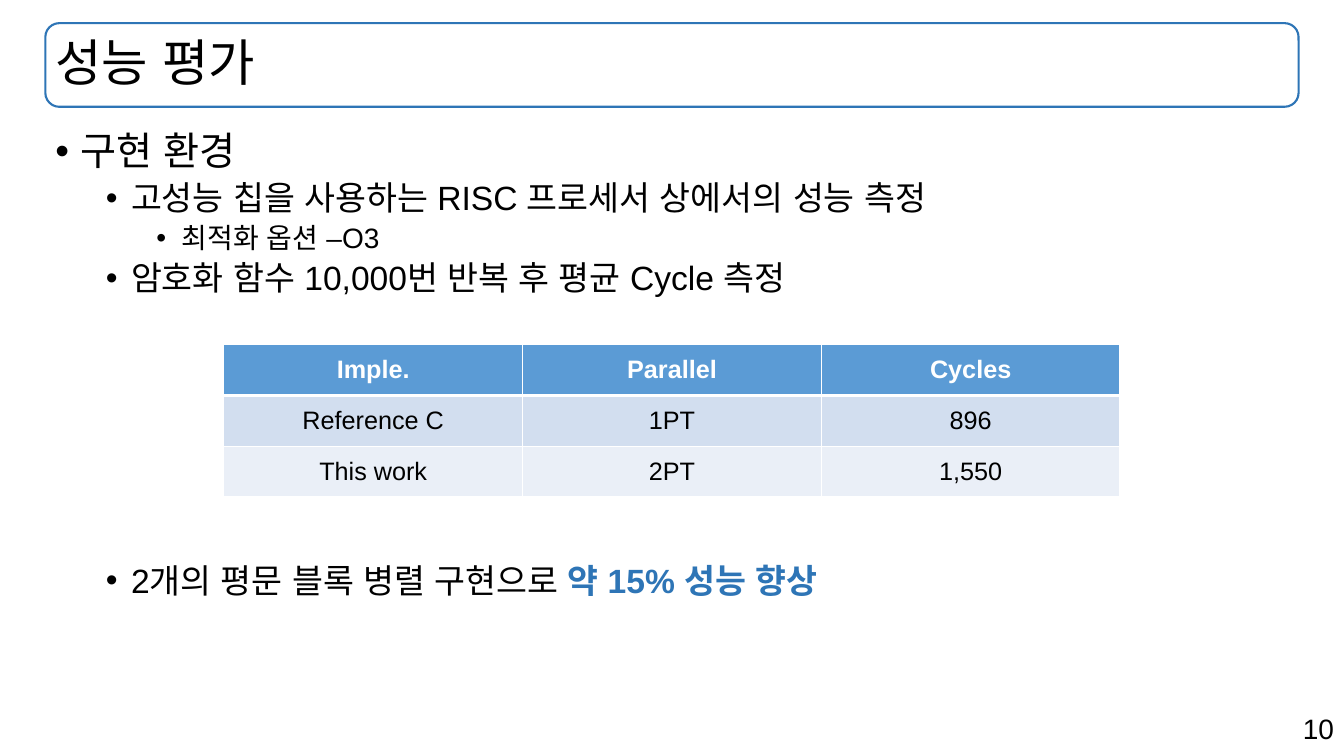
from lxml import etree
from pptx import Presentation
from pptx.dml.color import RGBColor
from pptx.enum.shapes import MSO_SHAPE
from pptx.enum.text import MSO_ANCHOR, MSO_AUTO_SIZE, PP_ALIGN
from pptx.oxml.ns import qn
from pptx.util import Pt

PX = 9144  # 100 px to the inch
FONT = "Arial"
BLACK, WHITE, BLUE = "000000", "FFFFFF", "2E75B6"
HEADER_FILL, ROW_FILLS = "5B9BD5", ("D2DEEF", "EAEFF7")
ROUNDED = MSO_SHAPE.ROUNDED_RECTANGLE
MIDDLE, TOP = MSO_ANCHOR.MIDDLE, MSO_ANCHOR.TOP
NO_AUTOFIT = MSO_AUTO_SIZE.NONE
LEFT, CENTER, RIGHT = PP_ALIGN.LEFT, PP_ALIGN.CENTER, PP_ALIGN.RIGHT

LEVEL_SIZES = (28, 24, 20)
# Level, space before in points, runs of (text, format)
BULLETS = [
    (0, 0, [("구현 환경", {})]),
    (1, 5, [("고성능 칩을 사용하는 RISC 프로세서 상에서의 성능 측정", {})]),
    (2, 5, [("최적화 옵션 –O3", {})]),
    (1, 5, [("암호화 함수 10,000번 반복 후 평균 Cycle 측정", {})]),
    (1, 190, [("2개의 평문 블록 병렬 구현으로 ", {}),
              ("약 15% 성능 향상", {"color": BLUE, "bold": True})]),
]
RESULTS = [
    ("Imple.", "Parallel", "Cycles"),
    ("Reference C", "1PT", "896"),
    ("This work", "2PT", "1,550"),
]


def rgb(value):
    return RGBColor.from_string(value)


def emu(box):
    return [length * PX for length in box]


def place(shape, box):
    shape.left, shape.top, shape.width, shape.height = emu(box)


def write(paragraph, text, size=18, color=BLACK, bold=False, align=LEFT):
    paragraph.alignment = align
    run = paragraph.add_run()
    run.text = text
    run.font.name = FONT
    run.font.size = Pt(size)
    run.font.bold = bold
    run.font.color.rgb = rgb(color)
    # Same typeface for Korean text
    etree.SubElement(run._r.get_or_add_rPr(), qn("a:ea"), typeface=FONT)


def add_bullet(paragraph, level):
    properties = paragraph._p.get_or_add_pPr()
    properties.set("marL", str((25 + 50 * level) * PX))
    properties.set("indent", str(-25 * PX))
    etree.SubElement(properties, qn("a:buFont"), typeface=FONT)
    etree.SubElement(properties, qn("a:buChar"), char="•")


def set_borders(cell, widths):
    properties = cell._tc.get_or_add_tcPr()
    for index, (side, width) in enumerate(widths.items()):
        line = etree.Element(qn(f"a:ln{side}"), w=str(Pt(width)))
        fill = etree.SubElement(line, qn("a:solidFill"))
        etree.SubElement(fill, qn("a:srgbClr"), val=WHITE)
        properties.insert(index, line)


def add_page_number(slide, box, number):
    frame = slide.shapes.add_textbox(*emu(box)).text_frame
    frame.word_wrap = True
    write(frame.paragraphs[0], number, size=20, align=RIGHT)


def add_title(slide, box, text):
    title = slide.shapes.title
    # Rounded outline, drawn behind the title
    outline = slide.shapes.add_shape(ROUNDED, *emu(box))
    outline.shadow.inherit = False
    outline.fill.background()
    outline.line.color.rgb = rgb(BLUE)
    outline.line.width = Pt(1.5)
    title._element.addprevious(outline._element)

    place(title, box)
    frame = title.text_frame
    frame.auto_size = NO_AUTOFIT
    frame.vertical_anchor = MIDDLE
    paragraph = frame.paragraphs[0]
    paragraph.line_spacing = 0.9
    write(paragraph, text, size=36)


def add_body(slide, box, bullets):
    body = slide.placeholders[1]
    place(body, box)
    frame = body.text_frame
    frame.auto_size = NO_AUTOFIT
    frame.vertical_anchor = TOP
    for index, (level, space_before, runs) in enumerate(bullets):
        paragraph = frame.add_paragraph() if index else frame.paragraphs[0]
        paragraph.level = level
        paragraph.line_spacing = 0.9
        paragraph.space_before = Pt(space_before)
        paragraph.space_after = Pt(0)
        add_bullet(paragraph, level)
        for text, style in runs:
            write(paragraph, text, size=LEVEL_SIZES[level], **style)


def add_results(slide, box, rows):
    table = slide.shapes.add_table(len(rows), len(rows[0]), *emu(box)).table
    for row_index, row in enumerate(rows):
        header = row_index == 0
        fill = HEADER_FILL if header else ROW_FILLS[(row_index - 1) % 2]
        borders = {"L": 1, "R": 1, "T": 3 if row_index == 1 else 1,
                   "B": 3 if header else 1}
        for column_index, text in enumerate(row):
            cell = table.cell(row_index, column_index)
            cell.fill.solid()
            cell.fill.fore_color.rgb = rgb(fill)
            cell.vertical_anchor = MIDDLE
            set_borders(cell, borders)
            write(cell.text_frame.paragraphs[0], text, bold=header,
                  color=WHITE if header else BLACK, align=CENTER)


def main():
    presentation = Presentation()
    presentation.slide_width, presentation.slide_height = emu((1333, 750))
    slide = presentation.slides.add_slide(presentation.slide_layouts[1])
    add_title(slide, (45, 23, 1243, 83), "성능 평가")
    add_body(slide, (45, 126, 1243, 553), BULLETS)
    add_results(slide, (222, 342, 889, 151), RESULTS)
    add_page_number(slide, (943, 701, 390, 44), "10")
    presentation.save("out.pptx")


if __name__ == "__main__":
    main()
